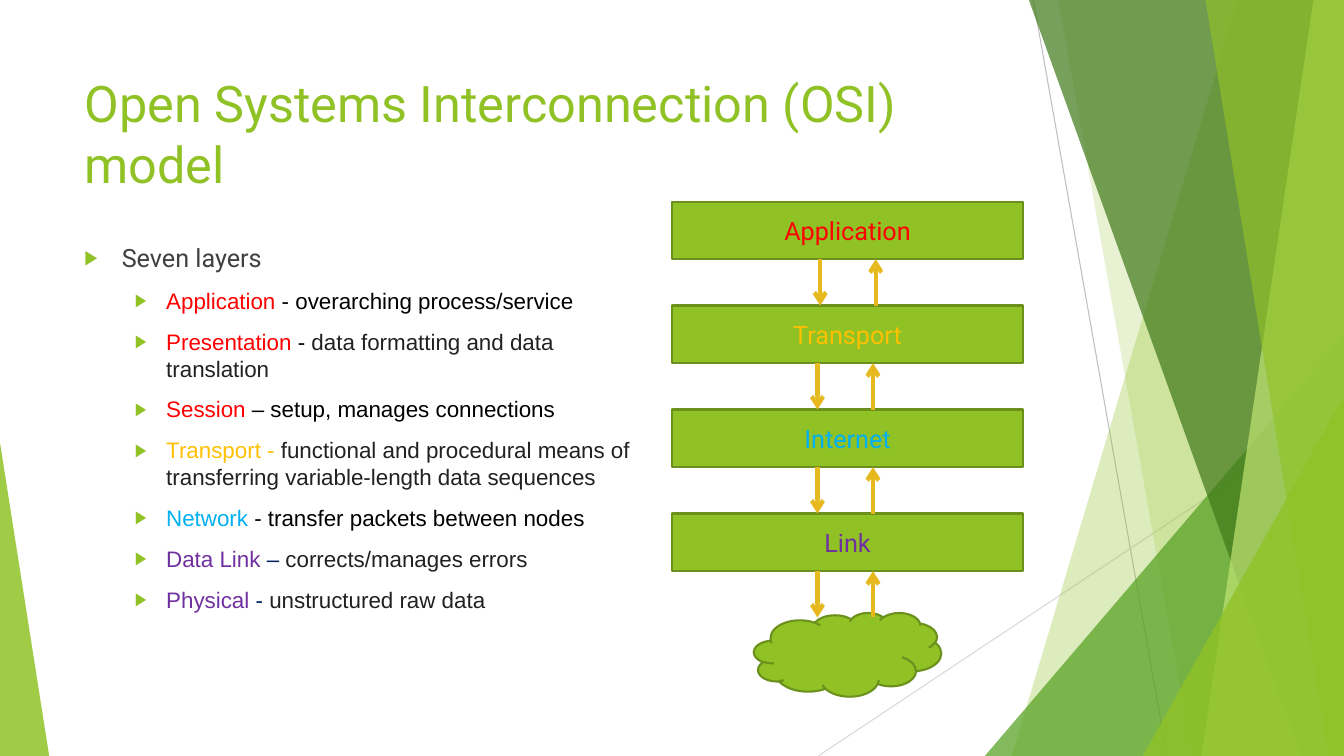
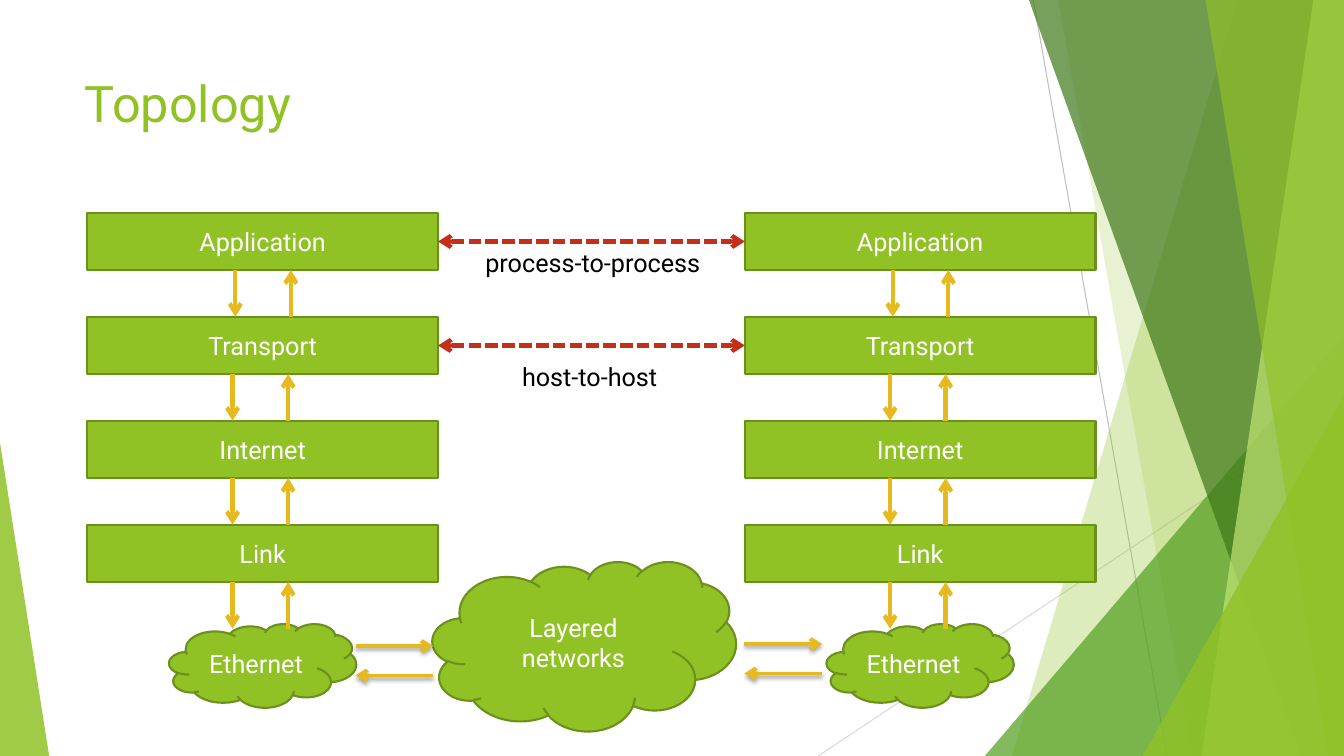
import lxml.etree
import pptx
import pptx.dml.color
import pptx.enum.dml
import pptx.enum.shapes
import pptx.enum.text
import pptx.oxml.ns
import pptx.util

Cm, Pt = pptx.util.Cm, pptx.util.Pt
RGB = pptx.dml.color.RGBColor
SHAPE = pptx.enum.shapes.MSO_SHAPE
ALIGN = pptx.enum.text.PP_ALIGN
ANCHOR = pptx.enum.text.MSO_ANCHOR
qn = pptx.oxml.ns.qn

# Colours
LIME = RGB(0x90, 0xC2, 0x26)
OLIVE = RGB(0x6B, 0x90, 0x1C)
LEAF = RGB(0x54, 0xA0, 0x21)
FOREST = RGB(0x3F, 0x78, 0x19)
PALE_LIME = RGB(0xC0, 0xE4, 0x74)
GOLD = RGB(0xE6, 0xB9, 0x1E)
BRICK = RGB(0xC4, 0x2F, 0x1A)
RED = RGB(0xFF, 0x00, 0x00)
AMBER = RGB(0xFF, 0xC0, 0x00)
SKY = RGB(0x00, 0xB0, 0xF0)
PURPLE = RGB(0x70, 0x30, 0xA0)
NAVY = RGB(0x00, 0x20, 0x60)
WHITE = RGB(0xFF, 0xFF, 0xFF)
BLACK = RGB(0x00, 0x00, 0x00)
INK = RGB(0x20, 0x21, 0x22)
CHARCOAL = RGB(0x40, 0x40, 0x40)
GREY = RGB(0xBF, 0xBF, 0xBF)
LIGHT_GREY = RGB(0xD9, 0xD9, 0xD9)

# Measures in centimetres
WIDTH, HEIGHT = 33.87, 19.05
BOX_WIDTH, BOX_HEIGHT, BOX_PITCH = 8.84, 1.45, 2.62
BOX_GAP = BOX_PITCH - BOX_HEIGHT
LAYERS = ("Application", "Transport", "Internet", "Link")


def add_xml(parent, tag, **attributes):
    return lxml.etree.SubElement(parent, qn(tag), attributes)


class Deck:
    """Holds the style and the slide being drawn."""

    heading_font, detail_font = "Roboto", "Arial"

    def __init__(self):
        self.prs = pptx.Presentation()
        self.prs.slide_width, self.prs.slide_height = Cm(WIDTH), Cm(HEIGHT)
        self.shapes = None

    def new_slide(self, title):
        self.shapes = self.prs.slides.add_slide(self.prs.slide_layouts[6]).shapes
        self.backdrop()
        frame = self.text_box(1.88, 1.7, 23.88, 3.66)
        self.run(frame.paragraphs[0], title, LIME, 36)

    # Shared background
    def backdrop(self):
        self.line((26.04, 0), (29.41, HEIGHT), GREY, 0.75)
        self.line((WIDTH, 10.24), (20.62, HEIGHT), LIGHT_GREY, 0.75)
        self.band(31.19, 25.5, LIME, 30)
        self.band(26.67, 30.05, LIME, 20)
        self.corner(24.82, 8.46, 9.05, LEAF, 72)
        self.band(25.93, 32.79, FOREST, 70)
        self.band(33.1, 30.28, PALE_LIME, 70)
        self.band(30.38, 33.48, LIME, 65)
        self.corner(28.8, 9.98, 5.07, LIME, 80)
        self.corner(0, 11.15, 1.24, LIME, 85, apex=0)

    def band(self, top_x, bottom_x, color, opacity):
        outline = self.shapes.build_freeform(Cm(top_x), 0, 1.0)
        outline.add_line_segments(
            [(Cm(x), Cm(y)) for x, y in
             ((WIDTH, 0), (WIDTH, HEIGHT), (bottom_x, HEIGHT))])
        self.tint(outline.convert_to_shape(), color, opacity)

    def corner(self, left, top, width, color, opacity, apex=1):
        triangle = self.shapes.add_shape(
            SHAPE.ISOSCELES_TRIANGLE, Cm(left), Cm(top), Cm(width), Cm(HEIGHT - top))
        triangle.adjustments[0] = apex
        self.tint(triangle, color, opacity)

    def tint(self, shape, color, opacity):
        shape.shadow.inherit = False
        shape.fill.solid()
        shape.fill.fore_color.rgb = color
        shape.line.fill.background()
        paint = shape.element.spPr.find(qn("a:solidFill")).find(qn("a:srgbClr"))
        add_xml(paint, "a:alpha", val=str(opacity * 1000))

    # Text
    def run(self, paragraph, text, color, size=18, font=heading_font):
        run = paragraph.add_run()
        run.text = text
        run.font.name, run.font.size = font, Pt(size)
        run.font.color.rgb = color

    def text_box(self, left, top, width, height):
        frame = self.shapes.add_textbox(Cm(left), Cm(top), Cm(width), Cm(height)).text_frame
        frame.word_wrap = True
        return frame

    def caption(self, left, top, text):
        frame = self.text_box(left, top, 7.42, 1.02)
        frame.auto_size = pptx.enum.text.MSO_AUTO_SIZE.SHAPE_TO_FIT_TEXT
        frame.paragraphs[0].alignment = ALIGN.CENTER
        self.run(frame.paragraphs[0], text, BLACK)

    def bullet(self, paragraph, level, margin, hanging):
        paragraph.level = level
        paragraph.space_before = Pt(10)
        properties = paragraph._p.get_or_add_pPr()
        properties.set("marL", str(Cm(margin)))
        properties.set("indent", str(-Cm(hanging)))
        add_xml(add_xml(properties, "a:buClr"), "a:srgbClr", val=str(LIME))
        add_xml(properties, "a:buSzPct", val="80000")
        add_xml(properties, "a:buFont", typeface=self.detail_font)
        add_xml(properties, "a:buChar", char="▶")

    def outline(self, heading, items):
        frame = self.text_box(1.88, 5.99, 15.06, 10.77)
        first = frame.paragraphs[0]
        self.bullet(first, 0, 0.94, 0.94)
        self.run(first, heading, CHARCOAL)
        for parts in items:
            paragraph = frame.add_paragraph()
            self.bullet(paragraph, 1, 2.06, 0.79)
            for text, color in parts:
                self.run(paragraph, text, color, 16, self.detail_font)

    # Diagram parts
    def node(self, kind, left, top, width, height, text="", color=WHITE):
        node = self.shapes.add_shape(kind, Cm(left), Cm(top), Cm(width), Cm(height))
        node.shadow.inherit = False
        node.fill.solid()
        node.fill.fore_color.rgb = LIME
        node.line.color.rgb, node.line.width = OLIVE, Pt(1.5)
        if text:
            frame = node.text_frame
            frame.word_wrap = True
            frame.vertical_anchor = ANCHOR.MIDDLE
            frame.paragraphs[0].alignment = ALIGN.CENTER
            self.run(frame.paragraphs[0], text, color)
        return node

    def line(self, start, end, color, width, head=False, tail=False, shadow=False):
        line = self.shapes.add_connector(
            pptx.enum.shapes.MSO_CONNECTOR.STRAIGHT, *map(Cm, (*start, *end)))
        line.line.color.rgb, line.line.width = color, Pt(width)
        properties = line.element.spPr
        stroke = properties.find(qn("a:ln"))
        for wanted, tag in ((head, "a:headEnd"), (tail, "a:tailEnd")):
            if wanted:
                add_xml(stroke, tag, type="arrow")
        effects = add_xml(properties, "a:effectLst")
        if shadow:
            cast = add_xml(effects, "a:outerShdw", blurRad=str(Pt(3)), dist=str(Pt(2)),
                           dir="5400000", rotWithShape="0")
            add_xml(add_xml(cast, "a:srgbClr", val=str(BLACK)), "a:alpha", val="35000")
        return line

    def peer_link(self, left_box, right_box):
        link = self.line((0, 0), (1, 1), BRICK, 3, head=True, tail=True)
        link.line.dash_style = pptx.enum.dml.MSO_LINE.SQUARE_DOT
        link.begin_connect(left_box, 3)
        link.end_connect(right_box, 1)

    def exchange(self, left, top):
        """Arrow to the right above an arrow to the left."""
        for y, back in ((top, False), (top + 0.74, True)):
            self.line((left, y), (left + 1.96, y), GOLD, 2.75,
                      head=back, tail=not back, shadow=True)

    def layer_stack(self, left, top, colors=(WHITE,) * 4, network=""):
        """Four layer boxes above a network cloud, joined by arrow pairs."""
        boxes = [
            self.node(SHAPE.RECTANGLE, left, top + row * BOX_PITCH,
                      BOX_WIDTH, BOX_HEIGHT, layer, color)
            for row, (layer, color) in enumerate(zip(LAYERS, colors))]
        self.node(SHAPE.CLOUD, left + 2.06, top + 10.36, 4.72, 2.11, network)
        for row in range(len(LAYERS)):
            down_x = left + (3.66 if row else 3.73)
            up_x = down_x + 1.4
            upper = top + row * BOX_PITCH + BOX_HEIGHT
            lower = upper + BOX_GAP
            self.line((down_x, upper), (down_x, lower), GOLD, 3, tail=True)
            self.line((up_x, lower), (up_x, upper), GOLD, 3, tail=True)
        return boxes


def osi_slide(deck):
    deck.new_slide("Open Systems Interconnection (OSI) model")
    deck.outline("Seven layers", [
        [("Application ", RED), ("- overarching process/service", BLACK)],
        [("Presentation", RED), (" - ", BLACK),
         ("data formatting and data translation", INK)],
        [("Session", RED), (" – setup, manages connections", BLACK)],
        [("Transport - ", AMBER),
         ("functional and procedural means of transferring "
          "variable-length data sequences", INK)],
        [("Network", SKY), (" - transfer packets between nodes", BLACK)],
        [("Data Link ", PURPLE), ("– ", NAVY), ("corrects/manages errors", INK)],
        [("Physical", PURPLE), (" - ", NAVY), ("unstructured raw data", INK)],
    ])
    deck.layer_stack(16.94, 5.08, (RED, AMBER, SKY, PURPLE))


def topology_slide(deck):
    deck.new_slide("Topology")
    # Two hosts
    left_host, right_host = [
        deck.layer_stack(left, 5.36, network="Ethernet") for left in (2.2, 18.77)]
    # Network between the hosts
    deck.node(SHAPE.CLOUD, 10.9, 14.15, 7.65, 4.27, "Layered networks")
    deck.exchange(8.96, 16.28)
    deck.exchange(18.76, 16.23)
    # Links between peer layers
    for left_box, right_box in list(zip(left_host, right_host))[:2]:
        deck.peer_link(left_box, right_box)
    deck.caption(11.23, 6.1, "process-to-process")
    deck.caption(11.15, 8.99, "host-to-host")


def main():
    deck = Deck()
    osi_slide(deck)
    topology_slide(deck)
    deck.prs.save("out.pptx")


if __name__ == "__main__":
    main()
